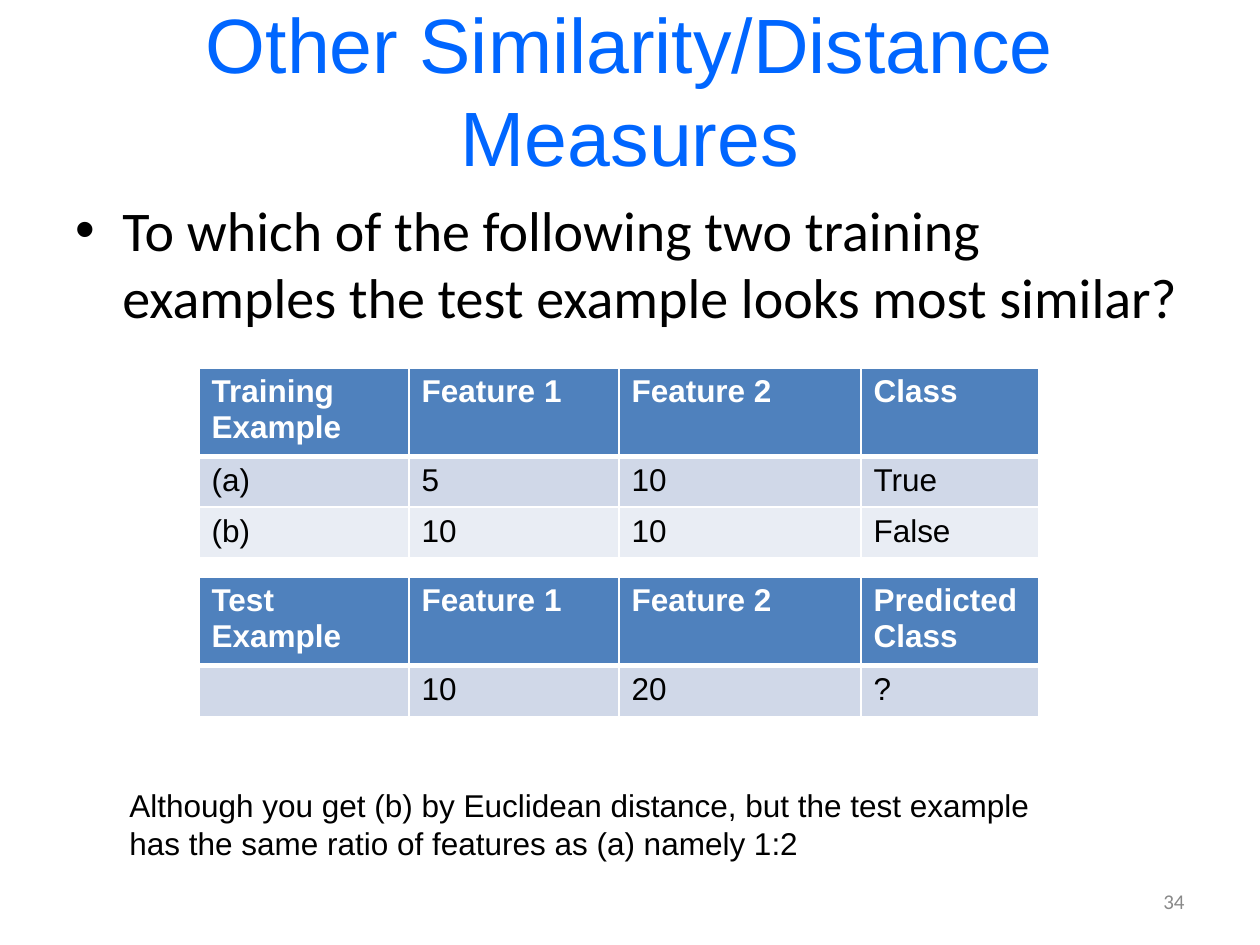
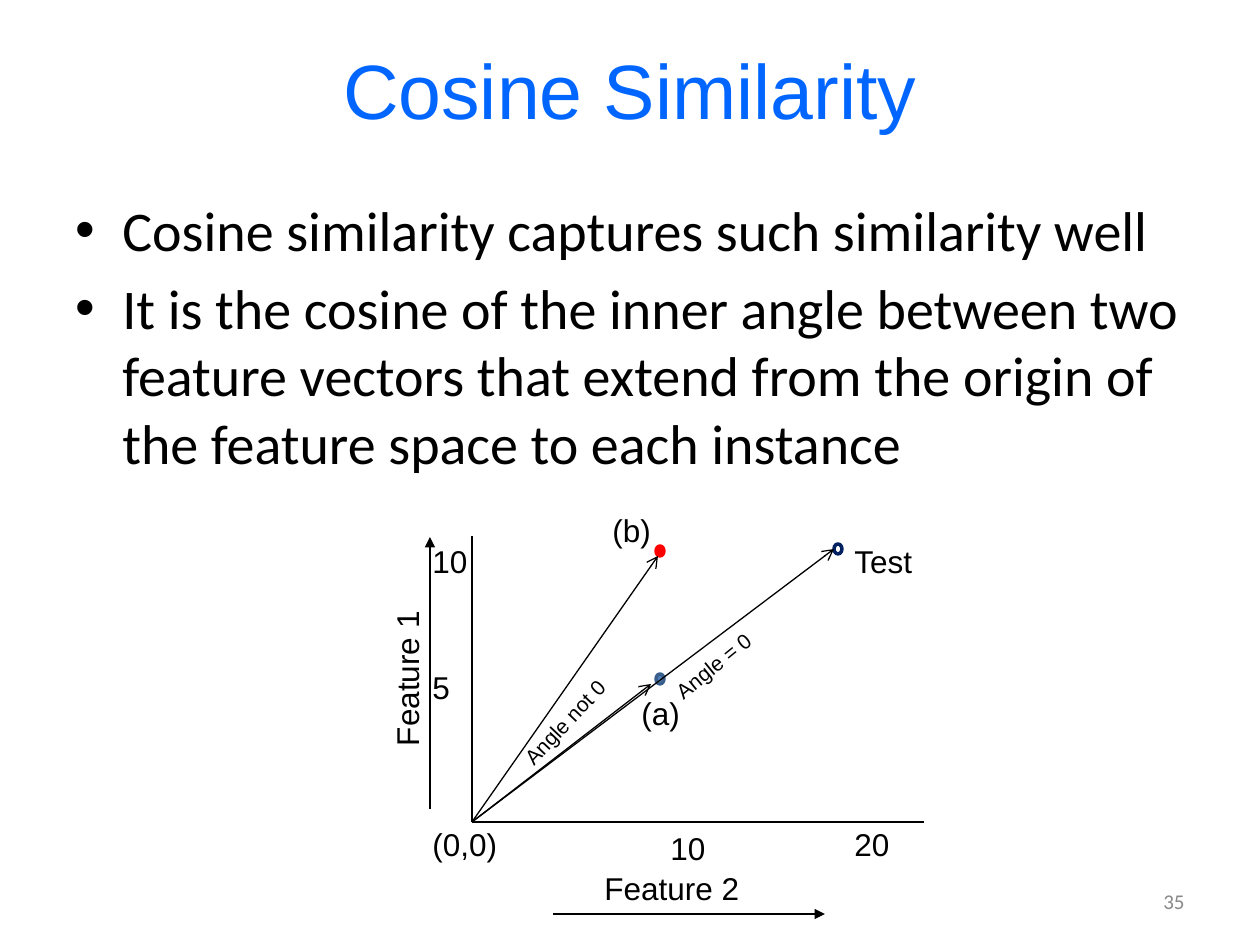
from lxml import etree
from pptx import Presentation
from pptx.dml.color import RGBColor
from pptx.enum.shapes import MSO_CONNECTOR, MSO_SHAPE
from pptx.enum.text import MSO_ANCHOR, MSO_AUTO_SIZE, PP_ALIGN
from pptx.oxml.ns import qn
from pptx.util import Emu, Pt

STRAIGHT = MSO_CONNECTOR.STRAIGHT
OVAL = MSO_SHAPE.OVAL
TOP, MIDDLE = MSO_ANCHOR.TOP, MSO_ANCHOR.MIDDLE
LEFT, CENTER, RIGHT = PP_ALIGN.LEFT, PP_ALIGN.CENTER, PP_ALIGN.RIGHT
FIT_SHAPE = MSO_AUTO_SIZE.SHAPE_TO_FIT_TEXT

BLACK = RGBColor(0x00, 0x00, 0x00)
WHITE = RGBColor(0xFF, 0xFF, 0xFF)
TITLE_BLUE = RGBColor(0x00, 0x66, 0xFF)
GRAY = RGBColor(0x89, 0x89, 0x89)
HEADER_BLUE = RGBColor(0x4F, 0x81, 0xBD)
BANDS = RGBColor(0xD0, 0xD8, 0xE8), RGBColor(0xE9, 0xED, 0xF4)
RED = RGBColor(0xFF, 0x00, 0x00)
DOT_EDGE = RGBColor(0x3A, 0x5F, 0x8C)
NAVY = RGBColor(0x00, 0x20, 0x60)

PX_PER_INCH = 126
TITLE_BOX = 63, 10, 1134, 158
BODY_BOX = 63, 189, 1134, 714
NUMBER_BOX = 903, 876, 294, 50
COL_WIDTHS = 210, 210, 242, 178
ROW_HEIGHT = 51


def px(n):
    return Emu(round(n * 914400 / PX_PER_INCH))


def style(p, size, color, font="Arial", bold=False):
    for r in p.runs:
        r.font.name = font
        r.font.size = Pt(size)
        r.font.bold = bold
        r.font.color.rgb = color


def add_text(s, box, text, size=18, color=BLACK, font="Arial", align=LEFT,
             anchor=TOP, wrap=True):
    sp = s.shapes.add_textbox(*map(px, box))
    tf = sp.text_frame
    tf.text = text
    tf.word_wrap = wrap
    tf.vertical_anchor = anchor
    if not wrap:
        tf.auto_size = FIT_SHAPE
    for p in tf.paragraphs:
        p.alignment = align
        style(p, size, color, font)
    return sp


def add_frame(prs, title, bullets, number):
    s = prs.slides.add_slide(prs.slide_layouts[6])
    add_text(s, TITLE_BOX, title, 44, TITLE_BLUE, align=CENTER, anchor=MIDDLE)
    body = add_text(s, BODY_BOX, "\n".join(bullets), 32, font="Calibri")
    for i, p in enumerate(body.text_frame.paragraphs):
        pPr = p._p.get_or_add_pPr()
        pPr.set("marL", str(px(47)))
        pPr.set("indent", str(-px(47)))
        etree.SubElement(pPr, qn("a:buFont")).set("typeface", "Arial")
        etree.SubElement(pPr, qn("a:buChar")).set("char", "•")
        if i:
            p.space_before = Pt(6.4)
    add_text(s, NUMBER_BOX, str(number), 12, GRAY, "Calibri", RIGHT, MIDDLE)
    return s


def add_borders(cell, bottom):
    tcPr = cell._tc.get_or_add_tcPr()
    for side, width in (("L", 1), ("R", 1), ("T", 1), ("B", bottom)):
        ln = etree.SubElement(tcPr, qn("a:ln" + side), w=str(Pt(width)))
        fill = etree.SubElement(ln, qn("a:solidFill"))
        etree.SubElement(fill, qn("a:srgbClr"), val=str(WHITE))


def add_examples(s, box, rows):
    frame = s.shapes.add_table(len(rows), len(COL_WIDTHS), *map(px, box))
    table = frame.table
    for col, width in zip(table.columns, COL_WIDTHS):
        col.width = px(width)
    for i, values in enumerate(rows):
        header = i == 0
        table.rows[i].height = px(ROW_HEIGHT)
        for cell, value in zip(table.rows[i].cells, values):
            add_borders(cell, 3 if header else 1)
            cell.fill.solid()
            cell.fill.fore_color.rgb = HEADER_BLUE if header else BANDS[(i - 1) % 2]
            cell.text_frame.text = value
            style(cell.text_frame.paragraphs[0], 18,
                  WHITE if header else BLACK, bold=header)
    frame.height = px(box[3])


def add_line(s, start, end, head=None):
    c = s.shapes.add_connector(STRAIGHT, *map(px, start + end))
    c.line.color.rgb = BLACK
    c.line.width = Pt(0.75)
    if head:
        etree.SubElement(c.line._get_or_add_ln(), qn("a:tailEnd"), type=head)
    etree.SubElement(c._element.spPr, qn("a:effectLst"))


def add_dot(s, x, y, edge, fill=None):
    sp = s.shapes.add_shape(OVAL, px(x), px(y), px(8), px(10))
    sp.shadow.inherit = False
    if fill is None:
        sp.fill.background()
    else:
        sp.fill.solid()
        sp.fill.fore_color.rgb = fill
    sp.line.color.rgb = edge
    sp.line.width = Pt(2)


def add_feature_space(s, left, top):
    def at(x, y):
        return left + x, top + y

    origin = at(72, 322)
    add_line(s, at(72, 36), origin)
    add_line(s, origin, at(524, 322))
    add_line(s, at(30, 309), at(30, 37), "triangle")
    add_line(s, at(153, 414), at(425, 414), "triangle")

    for x, y, edge, fill in ((256, 46, RED, RED),
                             (256, 174, DOT_EDGE, HEADER_BLUE),
                             (434, 44, NAVY, None)):
        add_dot(s, *at(x, y), edge, fill)
    for tip in ((251, 184), (434, 49), (258, 56)):
        add_line(s, origin, at(*tip), "arrow")

    labels = (
        ("Feature 1", -74, 153, 161, 18, 270),
        ("Feature 2", 192, 363, 161, 18, 0),
        ("(b)", 200, 5, 64, 18, 0),
        ("(a)", 229, 188, 64, 18, 0),
        ("Test", 442, 36, 83, 18, 0),
        ("Angle = 0", 256, 146, 116, 12, 321),
        ("Angle not 0", 99, 203, 132, 12, 313.4),
        ("(0,0)", 20, 319, 91, 18, 0),
        ("10", 258, 323, 60, 18, 0),
        ("20", 442, 319, 60, 18, 0),
        ("10", 20, 36, 60, 18, 0),
        ("5", 20, 162, 43, 18, 0),
    )
    for text, x, y, width, size, angle in labels:
        height = 50 if size == 18 else 38
        sp = add_text(s, (*at(x, y), width, height), text, size, wrap=False)
        sp.rotation = angle


def add_measures_slide(prs):
    s = add_frame(prs, "Other Similarity/Distance Measures",
                  ["To which of the following two training examples the test "
                   "example looks most similar?"], 34)
    add_examples(s, (199, 368, 840, 190), (
        ("Training Example", "Feature 1", "Feature 2", "Class"),
        ("(a)", "5", "10", "True"),
        ("(b)", "10", "10", "False"),
    ))
    add_examples(s, (199, 577, 840, 140), (
        ("Test Example", "Feature 1", "Feature 2", "Predicted Class"),
        ("", "10", "20", "?"),
    ))
    add_text(s, (117, 780, 942, 89),
             "Although you get (b) by Euclidean distance, but the test example\n"
             "has the same ratio of features as (a) namely 1:2", wrap=False)


def add_cosine_slide(prs):
    s = add_frame(prs, "Cosine Similarity",
                  ["Cosine similarity captures such similarity well",
                   "It is the cosine of the inner angle between two feature "
                   "vectors that extend from the origin of the feature space "
                   "to each instance"], 35)
    add_feature_space(s, 400, 500)


def main():
    prs = Presentation()
    prs.slide_width, prs.slide_height = px(1260), px(945)
    add_measures_slide(prs)
    add_cosine_slide(prs)
    prs.save("out.pptx")


if __name__ == "__main__":
    main()
